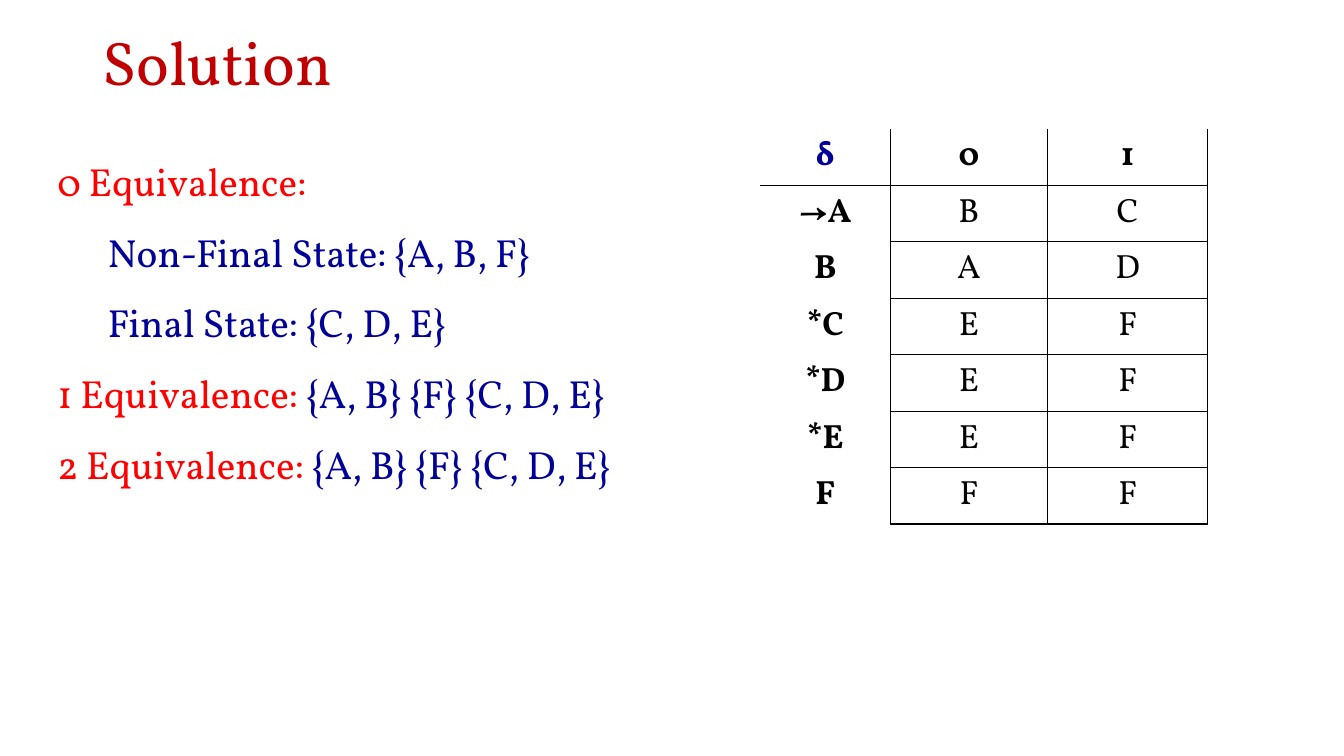
from lxml import etree
from pptx import Presentation
from pptx.dml.color import RGBColor
from pptx.enum.text import MSO_ANCHOR, MSO_AUTO_SIZE, PP_ALIGN
from pptx.oxml.ns import qn
from pptx.util import Emu, Pt

LEFT, CENTER = PP_ALIGN.LEFT, PP_ALIGN.CENTER
MIDDLE = MSO_ANCHOR.MIDDLE
FIT_SHAPE = MSO_AUTO_SIZE.SHAPE_TO_FIT_TEXT
NO_FIT = MSO_AUTO_SIZE.NONE

EMU_PER_PX = 9144  # 100 px to the inch
TITLE_ONLY = 5
FONT = "Vollkorn"
DARK_RED, RED, BLUE, BLACK = "C00000", "FF0000", "000099", "000000"

# Each line: indent level and its (text, colour) runs
EQUIVALENCE_LINES = [
    (0, [("0 Equivalence:", RED)]),
    (1, [("Non-Final State: {A, B, F}", BLUE)]),
    (1, [("Final State: {C, D, E}", BLUE)]),
    (0, [("1 Equivalence: ", RED), ("{A, B} {F} {C, D, E}", BLUE)]),
    (0, [("2 Equivalence: ", RED), ("{A, B} {F} {C, D, E}", BLUE)]),
]
TRANSITIONS = [
    ("δ", "0", "1"),
    ("→A", "B", "C"),
    ("B", "A", "D"),
    ("*C", "E", "F"),
    ("*D", "E", "F"),
    ("*E", "E", "F"),
    ("F", "F", "F"),
]
COLUMN_WIDTHS = [129, 156, 159]
ROW_HEIGHT = 56


def px(length):
    return Emu(length * EMU_PER_PX)


def color(hex_string):
    return RGBColor.from_string(hex_string)


def write_text(paragraph, text, size=28, fill=BLACK, bold=False,
               align=LEFT, line_spacing=1.0):
    """Append one formatted run to a paragraph."""
    paragraph.alignment = align
    paragraph.line_spacing = line_spacing
    run = paragraph.add_run()
    run.text = text
    run.font.name = FONT
    run.font.size = Pt(size)
    run.font.bold = bold
    run.font.color.rgb = color(fill)


def add_title(slide, text):
    title = slide.shapes.title
    title.left, title.top, title.width, title.height = map(px, (92, 2, 1150, 126))
    frame = title.text_frame
    frame.auto_size = NO_FIT
    frame.vertical_anchor = MIDDLE
    write_text(frame.paragraphs[0], text, size=44, fill=DARK_RED, line_spacing=0.9)


def add_equivalences(slide, lines):
    box = slide.shapes.add_textbox(px(47), px(128), px(620), px(356))
    frame = box.text_frame
    frame.word_wrap = True
    frame.auto_size = FIT_SHAPE
    for index, (level, runs) in enumerate(lines):
        paragraph = frame.add_paragraph() if index else frame.paragraphs[0]
        paragraph.level = level
        paragraph_properties = paragraph._p.get_or_add_pPr()
        paragraph_properties.set("marL", str(px(50 * level)))
        paragraph_properties.set("indent", "0")
        for text, fill in runs:
            write_text(paragraph, text, fill=fill, line_spacing=1.5)


def set_borders(cell, visible_sides):
    """Draw the given sides (of L, R, T, B) and hide the others."""
    cell_properties = cell._tc.get_or_add_tcPr()
    for side in "LRTB":
        line = etree.SubElement(cell_properties, qn(f"a:ln{side}"), w=str(Pt(1)))
        if side in visible_sides:
            solid = etree.SubElement(line, qn("a:solidFill"))
            etree.SubElement(solid, qn("a:srgbClr"), val=BLACK)
        else:
            etree.SubElement(line, qn("a:noFill"))


def borders_for(row, column):
    if row == 0:
        return "RB" if column == 0 else "LRB"
    if column == 0:
        return "RT" if row == 1 else "R"
    return "LRTB"


def add_transition_table(slide, rows):
    frame = slide.shapes.add_table(
        len(rows), len(COLUMN_WIDTHS), px(754), px(128),
        px(sum(COLUMN_WIDTHS)), px(ROW_HEIGHT * len(rows)))
    table = frame.table
    table.first_row = table.horz_banding = False
    for column, width in zip(table.columns, COLUMN_WIDTHS):
        column.width = px(width)
    for row_index, values in enumerate(rows):
        table.rows[row_index].height = px(ROW_HEIGHT)
        for column_index, text in enumerate(values):
            cell = table.cell(row_index, column_index)
            cell.vertical_anchor = MIDDLE
            set_borders(cell, borders_for(row_index, column_index))
            cell.fill.background()
            is_header = row_index == 0 or column_index == 0
            write_text(cell.text_frame.paragraphs[0], text, size=24,
                       fill=BLUE if text == "δ" else BLACK,
                       bold=is_header, align=CENTER)


def main():
    presentation = Presentation()
    presentation.slide_width, presentation.slide_height = px(1333), px(750)
    slide = presentation.slides.add_slide(presentation.slide_layouts[TITLE_ONLY])

    # Heading, equivalence steps on the left, transition table on the right
    add_title(slide, "Solution")
    add_equivalences(slide, EQUIVALENCE_LINES)
    add_transition_table(slide, TRANSITIONS)

    presentation.save("out.pptx")


if __name__ == "__main__":
    main()
